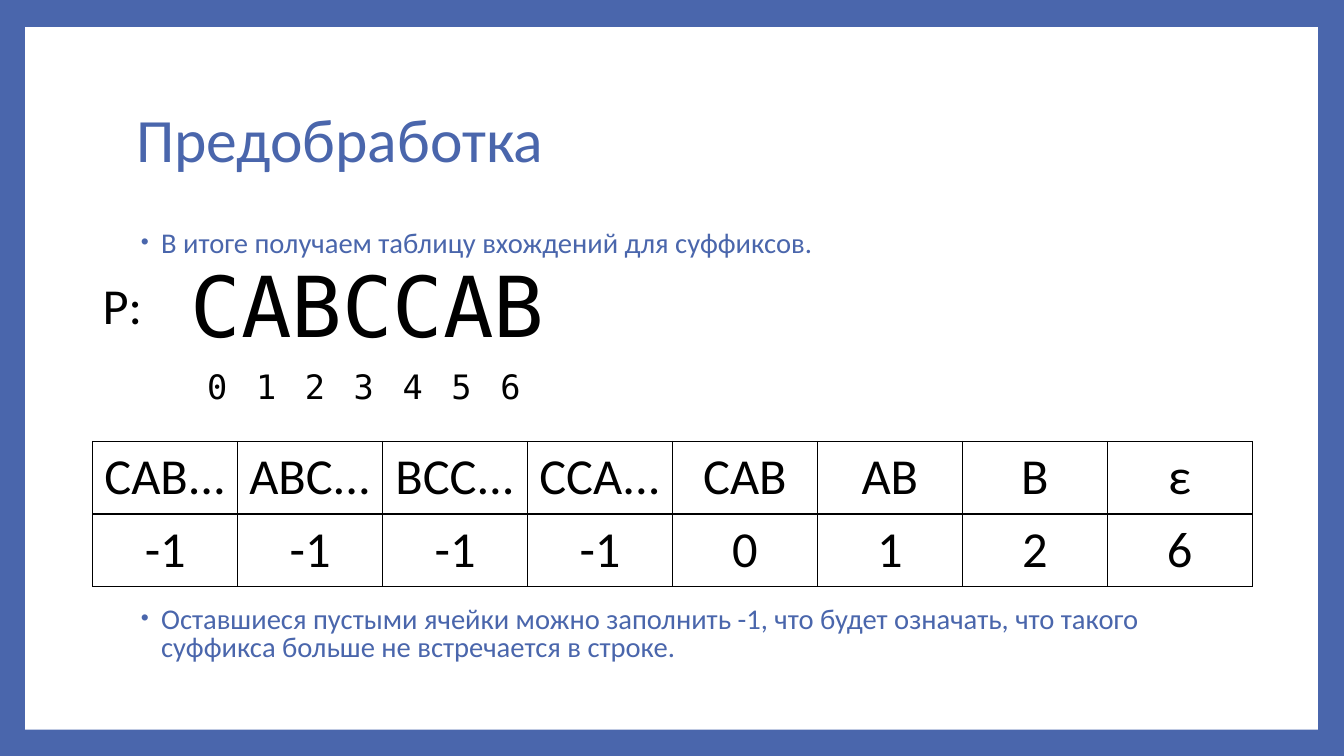
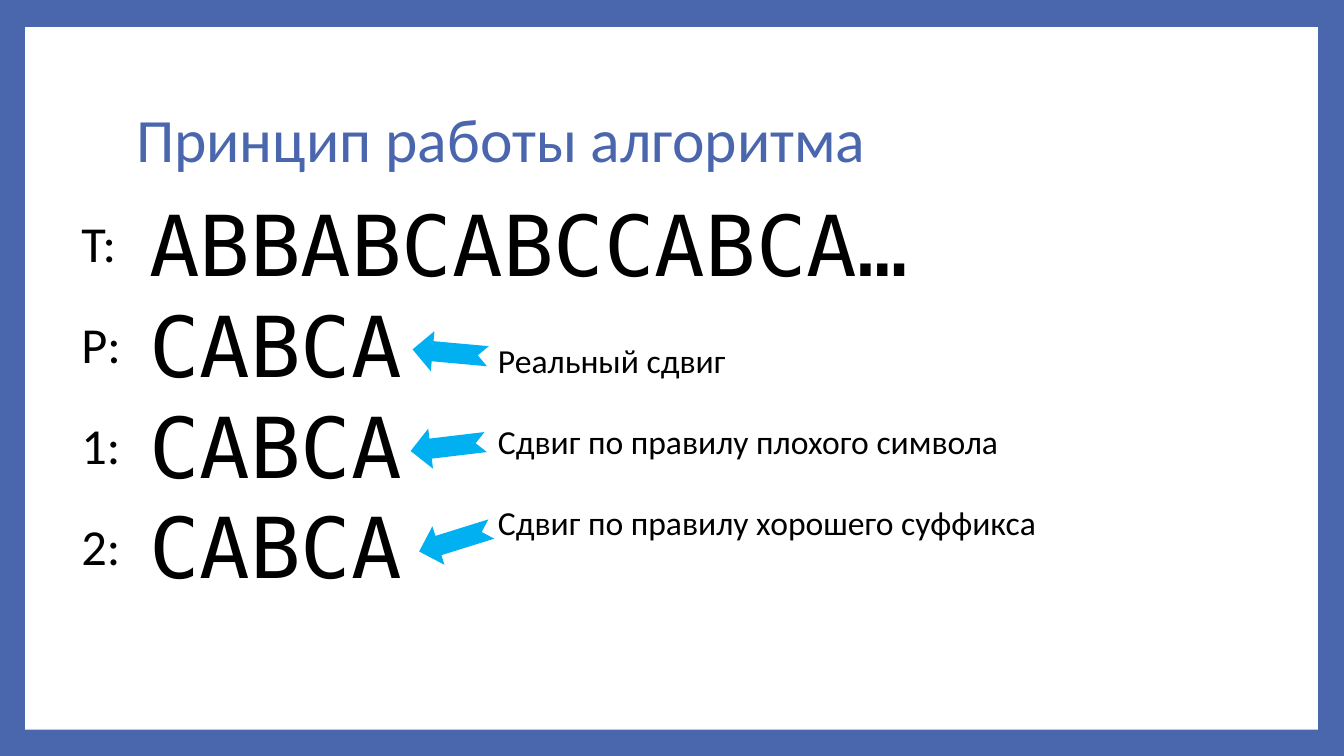
from dataclasses import dataclass

from lxml import etree
from pptx import Presentation
from pptx.dml.color import RGBColor
from pptx.enum.shapes import MSO_SHAPE
from pptx.enum.text import MSO_ANCHOR, MSO_AUTO_SIZE, PP_ALIGN
from pptx.oxml.ns import qn
from pptx.util import Inches, Pt

RECT = MSO_SHAPE.RECTANGLE
NOTCHED_ARROW = MSO_SHAPE.NOTCHED_RIGHT_ARROW
LEFT, CENTER = PP_ALIGN.LEFT, PP_ALIGN.CENTER
MIDDLE = MSO_ANCHOR.MIDDLE
FIT_SHAPE, NO_FIT = MSO_AUTO_SIZE.SHAPE_TO_FIT_TEXT, MSO_AUTO_SIZE.NONE

COLORS = {"blue": "4A66AC", "white": "FFFFFF", "black": "000000", "arrow": "00B0F0"}
SANS, MONO = "Calibri", "DejaVu Sans Mono"
TITLE_ONLY = 5


@dataclass(frozen=True)
class Box:
    left: float
    top: float
    width: float
    height: float

    def inches(self) -> tuple:
        return tuple(Inches(v) for v in (self.left, self.top, self.width, self.height))


@dataclass(frozen=True)
class StringRow:
    label: str
    letters: str
    top: float
    label_left: float
    left: float
    width: float = 5.61


@dataclass(frozen=True)
class Arrow:
    left: float
    top: float
    rotation: float


def rgb(name: str) -> RGBColor:
    return RGBColor.from_string(COLORS[name])


def write(p, text: str, *, size: float, font: str = SANS, color: str = "black",
          align=LEFT, line_spacing: float = 1.0, space_before: float = 0) -> None:
    """Put one formatted run into a paragraph."""
    p.alignment = align
    p.line_spacing = line_spacing
    p.space_before = Pt(space_before)
    r = p.add_run()
    r.text = text
    r.font.size = Pt(size)
    r.font.name = font
    r.font.color.rgb = rgb(color)


def add_text(s, box: Box, lines: list[str], *, gap: float = 0, **fmt):
    """Add a wrapping text box with one paragraph per line, gap points apart."""
    tb = s.shapes.add_textbox(*box.inches())
    tf = tb.text_frame
    tf.word_wrap = True
    tf.auto_size = FIT_SHAPE
    for i, line in enumerate(lines):
        p = tf.add_paragraph() if i else tf.paragraphs[0]
        write(p, line, space_before=gap if i else 0, **fmt)
    return tb


def add_filled(s, kind, box: Box, color: str):
    sp = s.shapes.add_shape(kind, *box.inches())
    sp.shadow.inherit = False
    sp.fill.solid()
    sp.fill.fore_color.rgb = rgb(color)
    sp.line.fill.background()
    return sp


def add_bullet(s, box: Box, text: str) -> None:
    tb = add_text(s, box, [text], size=20.4, color="blue", line_spacing=0.8)
    for pPr in tb.element.iter(qn("a:pPr")):
        pPr.set("marL", str(Inches(0.25)))
        pPr.set("indent", str(Inches(-0.2)))
        clr = etree.SubElement(pPr, qn("a:buClr"))
        etree.SubElement(clr, qn("a:srgbClr"), val=COLORS["blue"])
        etree.SubElement(pPr, qn("a:buSzPct"), val="80000")
        etree.SubElement(pPr, qn("a:buFont"), typeface="Arial")
        etree.SubElement(pPr, qn("a:buChar"), char="•")


def add_string_row(s, row: StringRow) -> None:
    add_text(s, Box(row.left, row.top, row.width, 1.11), [row.letters], size=60, font=MONO)
    add_text(s, Box(row.label_left, row.top + 0.2, 0.67, 0.71), [row.label], size=36)


def add_grid(s, box: Box, rows: list[list[str]]) -> None:
    """Add a plain table with thin black lines and equal columns."""
    frame = s.shapes.add_table(len(rows), len(rows[0]), *box.inches())
    table = frame.table
    table.first_row = table.horz_banding = False
    for i, values in enumerate(rows):
        for j, value in enumerate(values):
            cell = table.cell(i, j)
            cell.fill.background()
            write(cell.text_frame.paragraphs[0], value, size=36, align=CENTER)
    # Cell borders come before the fill
    for tcPr in frame.element.iter(qn("a:tcPr")):
        for k, side in enumerate(("lnL", "lnR", "lnT", "lnB")):
            ln = etree.Element(qn(f"a:{side}"), w=str(Pt(1)))
            fill = etree.SubElement(ln, qn("a:solidFill"))
            etree.SubElement(fill, qn("a:srgbClr"), val=COLORS["black"])
            tcPr.insert(k, ln)


def new_slide(prs, title: str):
    s = prs.slides.add_slide(prs.slide_layouts[TITLE_ONLY])
    sp = s.shapes.title
    sp.left, sp.top, sp.width, sp.height = Box(1.25, 0.67, 10.8, 1.48).inches()
    tf = sp.text_frame
    tf.word_wrap = True
    tf.auto_size = NO_FIT
    tf.vertical_anchor = MIDDLE
    write(tf.paragraphs[0], title, size=44, color="blue", line_spacing=0.9)
    # White panel behind everything, leaving a blue frame
    panel = add_filled(s, RECT, Box(0.25, 0.27, 12.82, 6.97), "white")
    s.shapes.element.insert(2, panel.element)
    return s


def preprocessing_slide(prs) -> None:
    s = new_slide(prs, "Предобработка")
    add_bullet(s, Box(1.25, 2.25, 10.8, 0.4),
               "В итоге получаем таблицу вхождений для суффиксов.")
    add_bullet(s, Box(1.25, 5.98, 10.8, 0.69),
               "Оставшиеся пустыми ячейки можно заполнить -1, что будет означать, "
               "что такого суффикса больше не встречается в строке.")

    # Pattern with its letter indexes
    add_string_row(s, StringRow("P:", "CABCCAB", 2.47, 0.92, 1.79))
    indexes = add_text(s, Box(1.79, 3.58, 3.64, 0.5), ["0 1 2 3 4 5 6"],
                       size=24, font=MONO, align=CENTER)
    for rPr in indexes.element.iter(qn("a:rPr")):
        rPr.set("spc", "300")

    # Suffix occurrences
    add_grid(s, Box(0.92, 4.38, 11.5, 1.44), [
        ["CAB...", "ABC...", "BCC...", "CCA...", "CAB", "AB", "B", "ε"],
        ["-1", "-1", "-1", "-1", "0", "1", "2", "6"],
    ])


def principle_slide(prs) -> None:
    s = new_slide(prs, "Принцип работы алгоритма")

    # Text and the shifted patterns
    strings = [("T:", "ABBABCABCCABCA…", 11.96), ("P:", "CABCA", 5.61),
               ("1:", "CABCA", 5.61), ("2:", "CABCA", 5.61)]
    for i, (label, letters, width) in enumerate(strings):
        add_string_row(s, StringRow(label, letters, 1.86 + i, 0.71, 1.38, width))

    # Captions and their arrows
    add_text(s, Box(4.84, 3.32, 6.09, 2.12),
             ["Реальный сдвиг", "Сдвиг по правилу плохого символа",
              "Сдвиг по правилу хорошего суффикса"], size=24, gap=29)
    for a in (Arrow(4.09, 3.3, 185.2), Arrow(4.07, 4.23, 173.2), Arrow(4.14, 5.16, 162.7)):
        sp = add_filled(s, NOTCHED_ARROW, Box(a.left, a.top, 0.75, 0.4), "arrow")
        sp.rotation = a.rotation


def main() -> None:
    prs = Presentation()
    prs.slide_width, prs.slide_height = Inches(13.33), Inches(7.5)
    fill = prs.slide_master.background.fill
    fill.solid()
    fill.fore_color.rgb = rgb("blue")
    preprocessing_slide(prs)
    principle_slide(prs)
    prs.save("out.pptx")


if __name__ == "__main__":
    main()
